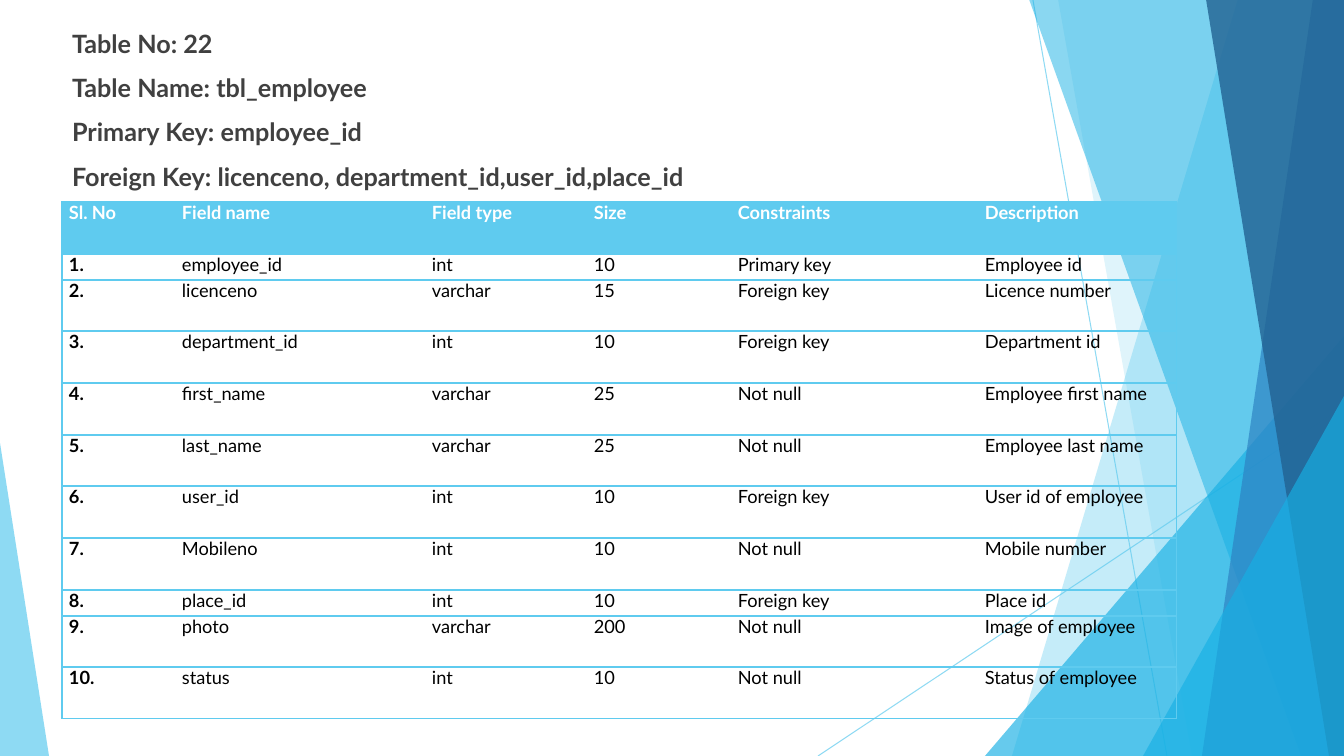
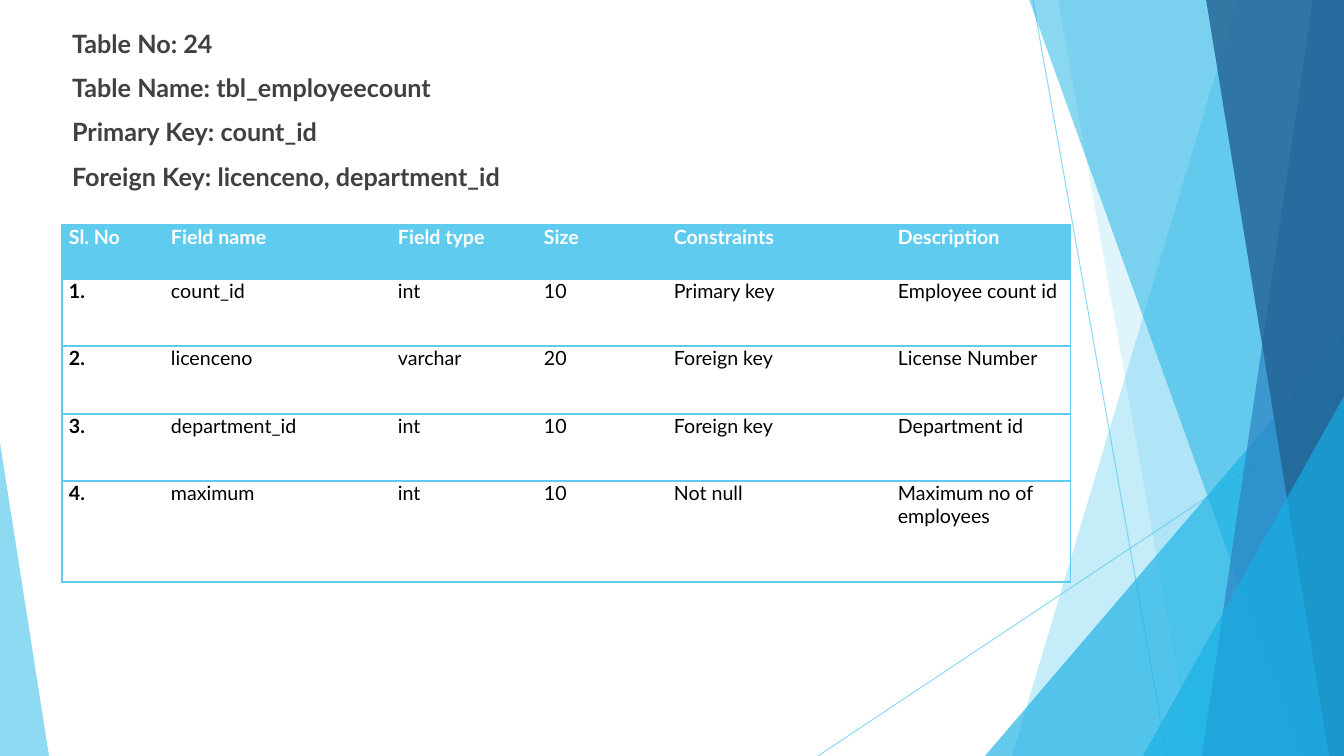
from dataclasses import dataclass
from itertools import accumulate, pairwise

from lxml.etree import SubElement
from pptx import Presentation
from pptx.dml.color import RGBColor
from pptx.enum.shapes import MSO_CONNECTOR as CONN, MSO_SHAPE as SHAPE
from pptx.enum.text import MSO_ANCHOR as ANCHOR, MSO_AUTO_SIZE as AUTO, PP_ALIGN as ALIGN
from pptx.oxml import parse_xml
from pptx.oxml.ns import nsdecls, qn
from pptx.util import Emu, Pt

W, H = 1344, 756
SCALE = 12192000 / W


@dataclass(frozen=True)
class Theme:
    font: str = "Lato"
    sky: str = "5FCBEF"
    cyan: str = "17B0E4"
    blue: str = "2E83C3"
    navy: str = "226292"
    heading: str = "404040"
    ink: str = "000000"
    paper: str = "FFFFFF"
    heading_size: int = 18
    heading_gap: int = 10
    hairline: float = 0.75
    border: int = 1


T = Theme()

HEADING_BOX = (62, 23, 1138, 713)
COLUMNS = (112, 248, 160, 143, 245, 197)
HEADER = ("Sl. No", "Field name", "Field type", "Size", "Constraints", "Description")

RAYS = [(1033, 0, 1167, H), (W, 406, 818, H)]
FACETS = [
    ("blade", (1238, 1012), T.sky, 36),
    ("blade", (1058, 1192), T.sky, 20),
    ("corner", (985, 336, 359, 420, 1), T.cyan, 66),
    ("blade", (1029, 1301), T.cyan, 50),
    ("blade", (1313, 1202), T.blue, 70),
    ("blade", (1206, 1329), T.navy, 80),
    ("corner", (1143, 396, 201, 360, 1), T.cyan, 66),
    ("corner", (0, 443, 49, 313, 0), T.sky, 70),
]

SLIDES = [
    dict(
        heading=[
            "Table No: 22",
            "Table Name: tbl_employee",
            "Primary Key: employee_id",
            "Foreign Key: licenceno, department_id,user_id,place_id",
        ],
        box=(62, 202, 1115, 517),
        size=13,
        row_weights=(2, 1, 2, 2, 2, 2, 2, 2, 1, 2, 2),
        fields=[
            ("employee_id", "int", "10", "Primary key", "Employee id"),
            ("licenceno", "varchar", "15", "Foreign key", "Licence number"),
            ("department_id", "int", "10", "Foreign key", "Department id"),
            ("first_name", "varchar", "25", "Not null", "Employee first name"),
            ("last_name", "varchar", "25", "Not null", "Employee last name"),
            ("user_id", "int", "10", "Foreign key", "User id of employee"),
            ("Mobileno", "int", "10", "Not null", "Mobile number"),
            ("place_id", "int", "10", "Foreign key", "Place id"),
            ("photo", "varchar", "200", "Not null", "Image of employee"),
            ("status", "int", "10", "Not null", "Status of employee"),
        ],
    ),
    dict(
        heading=[
            "Table No: 24",
            "Table Name: tbl_employeecount",
            "Primary Key: count_id",
            "Foreign Key: licenceno, department_id",
        ],
        box=(62, 225, 1009, 357),
        size=14,
        row_weights=(8, 10, 10, 10, 15),
        fields=[
            ("count_id", "int", "10", "Primary key", "Employee count id"),
            ("licenceno", "varchar", "20", "Foreign key", "License Number"),
            ("department_id", "int", "10", "Foreign key", "Department id"),
            ("maximum", "int", "10", "Not null", "Maximum no of employees"),
        ],
    ),
]


def px(n):
    return Emu(round(n * SCALE))


def apply(obj, **values):
    for name, value in values.items():
        setattr(obj, name, value)


def spread(total, weights):
    edges = [round(total * s / sum(weights)) for s in accumulate(weights, initial=0)]
    return [px(b - a) for a, b in pairwise(edges)]


def paint(fill, color, alpha, element):
    fill.solid()
    fill.fore_color.rgb = RGBColor.from_string(color)
    clr = next(element.iter(qn("a:srgbClr")))
    SubElement(clr, qn("a:alpha"), val=str(alpha * 1000))


def style_font(font, size, color, bold):
    apply(font, name=T.font, size=Pt(size), bold=bold)
    font.color.rgb = RGBColor.from_string(color)


def add_ray(shapes, ends):
    line = shapes.add_connector(CONN.STRAIGHT, *map(px, ends))
    line.line.width = Pt(T.hairline)
    paint(line.line.fill, T.sky, 70, line.element)
    SubElement(line.element.spPr, qn("a:effectLst"))


def add_blade(shapes, top_x, bottom_x):
    pen = shapes.build_freeform(top_x, -1, scale=SCALE)
    pen.add_line_segments([(W, -1), (W, H), (bottom_x, H)], close=True)
    return pen.convert_to_shape()


def add_corner(shapes, x, y, w, h, apex):
    sp = shapes.add_shape(SHAPE.ISOSCELES_TRIANGLE, px(x), px(y), px(w), px(h))
    sp.adjustments[0] = apex
    return sp


def add_facets(slide, layout):
    group = slide.shapes.add_group_shape()
    for ends in RAYS:
        add_ray(group.shapes, ends)
    makers = {"blade": add_blade, "corner": add_corner}
    for kind, place, color, alpha in FACETS:
        sp = makers[kind](group.shapes, *place)
        sp.shadow.inherit = False
        sp.line.fill.background()
        paint(sp.fill, color, alpha, sp.element)
    layout.shapes.element.insert(2, group.element)


def add_heading(slide, box, lines):
    x, y, w, h = map(px, box)
    body = slide.placeholders[1]
    apply(body, left=x, top=y, width=w, height=h)
    tf = body.text_frame
    apply(tf, word_wrap=True, auto_size=AUTO.NONE, vertical_anchor=ANCHOR.TOP)
    tf.text = "\n".join(lines)
    for p in tf.paragraphs:
        p.space_before = Pt(T.heading_gap)
        style_font(p.runs[0].font, T.heading_size, T.heading, True)
        pPr = p._p.get_or_add_pPr()
        pPr.set("marL", "0")
        pPr.set("indent", "0")
        SubElement(pPr, qn("a:buNone"))


def set_borders(cell, visible):
    tcPr = cell._tc.get_or_add_tcPr()
    for i, side in enumerate("LRTB"):
        fill = f'<a:solidFill><a:srgbClr val="{T.sky}"/></a:solidFill>'
        if side not in visible:
            fill = "<a:noFill/>"
        tcPr.insert(i, parse_xml(
            f'<a:ln{side} {nsdecls("a")} w="{Pt(T.border)}">{fill}</a:ln{side}>'))


def fill_cell(cell, text, size, is_header, is_first, is_last):
    apply(cell, margin_left=px(7), margin_right=px(7), margin_top=0, margin_bottom=0,
          vertical_anchor=ANCHOR.TOP)
    p = cell.text_frame.paragraphs[0]
    p.alignment = ALIGN.LEFT if is_last and not is_header else ALIGN.JUSTIFY
    r = p.add_run()
    r.text = text
    style_font(r.font, size, T.paper if is_header else T.ink, is_header or is_first)
    if is_header:
        cell.fill.solid()
        cell.fill.fore_color.rgb = RGBColor.from_string(T.sky)
    else:
        cell.fill.background()
    set_borders(cell, "TB" + "L" * is_first + "R" * is_last)


def add_field_table(slide, box, size, row_weights, fields):
    rows = [HEADER] + [(f"{n}.", *field) for n, field in enumerate(fields, 1)]
    table = slide.shapes.add_table(len(rows), len(HEADER), *map(px, box)).table
    apply(table, first_row=False, horz_banding=False)
    for column, width in zip(table.columns, spread(box[2], COLUMNS)):
        column.width = width
    for row, height in zip(table.rows, spread(box[3], row_weights)):
        row.height = height
    last = len(HEADER) - 1
    for i, row in enumerate(rows):
        for j, text in enumerate(row):
            fill_cell(table.cell(i, j), text, size, i == 0, j == 0, j == last)


def add_table_slide(prs, layout, heading, **table):
    slide = prs.slides.add_slide(layout)
    title = slide.shapes.title.element
    title.getparent().remove(title)
    add_heading(slide, HEADING_BOX, heading)
    add_field_table(slide, **table)
    return slide


def main():
    prs = Presentation()
    apply(prs, slide_width=px(W), slide_height=px(H))
    layout = prs.slide_layouts[1]
    for ph in list(layout.placeholders)[2:]:
        ph.element.getparent().remove(ph.element)
    slides = [add_table_slide(prs, layout, **content) for content in SLIDES]
    add_facets(slides[0], layout)
    prs.save("out.pptx")


if __name__ == "__main__":
    main()
